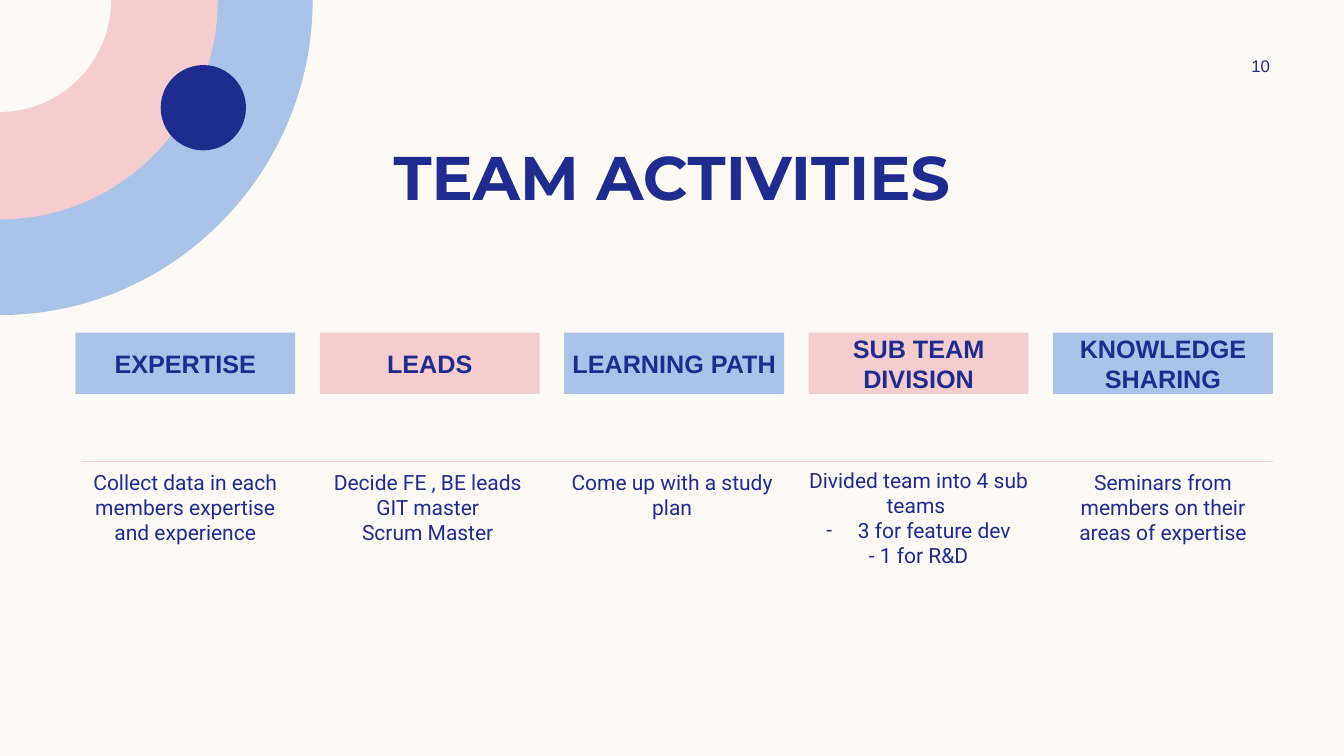
from lxml import etree
from pptx import Presentation
from pptx.dml.color import RGBColor
from pptx.enum.shapes import MSO_CONNECTOR, MSO_SHAPE
from pptx.enum.text import MSO_ANCHOR, MSO_AUTO_SIZE, PP_ALIGN
from pptx.oxml.ns import qn
from pptx.util import Cm, Pt

CREAM = RGBColor(0xFD, 0xFA, 0xF6)
BLUE = RGBColor(0xAA, 0xC3, 0xE8)
PINK = RGBColor(0xF5, 0xCD, 0xCE)
NAVY = RGBColor(0x1F, 0x2C, 0x8F)
RULE_PINK = RGBColor(0xF2, 0xD1, 0xD1)

RECTANGLE, OVAL = MSO_SHAPE.RECTANGLE, MSO_SHAPE.OVAL
STRAIGHT = MSO_CONNECTOR.STRAIGHT
TOP, MIDDLE = MSO_ANCHOR.TOP, MSO_ANCHOR.MIDDLE
CENTER = PP_ALIGN.CENTER
NO_FIT = MSO_AUTO_SIZE.NONE
ARC_HANDLE = 0.55

TITLE_FONT = {"name": "Montserrat", "size": Pt(44), "bold": True}
NUMBER_FONT = {"name": "Arial", "size": Pt(12), "bold": False}
HEADING_FONT = {"name": "Arial", "size": Pt(18), "bold": True}
DETAIL_FONT = {"name": "Roboto", "size": Pt(15), "bold": False}

TITLE_FRAME = {"vertical_anchor": TOP}
NUMBER_FRAME = {"vertical_anchor": MIDDLE}
HEADING_FRAME = {"vertical_anchor": MIDDLE, "margin_left": 0, "margin_right": 0,
                 "margin_top": 0, "margin_bottom": 0}
DETAIL_FRAME = {"vertical_anchor": TOP, "margin_left": 0, "margin_right": 0}

BULLET = "• "
ACTIVITIES = [
    ("EXPERTISE", 0, 3.32, 2.21, ["Collect data in each members expertise and experience"]),
    ("LEADS", -0.05, 3.32, 2.21, ["Decide FE , BE leads", "GIT master", "Scrum Master"]),
    ("LEARNING PATH", -0.05, 3.32, 2.21, ["Come up with a study plan"]),
    ("SUB TEAM DIVISION", 0, 3.27, 2.74,
     ["Divided team into 4 sub teams ", BULLET + "3 for feature dev", "- 1 for R&D"]),
    ("KNOWLEDGE SHARING", 0, 3.32, 2.69,
     ["Seminars from members on their areas of expertise"]),
]


def add_dash(para):
    """Give a paragraph a dash bullet with a hanging indent."""
    properties = para._p.get_or_add_pPr()
    properties.set("marL", str(Cm(0.79)))
    properties.set("indent", str(-Cm(0.79)))
    etree.SubElement(properties, qn("a:buFont")).set("typeface", DETAIL_FONT["name"])
    etree.SubElement(properties, qn("a:buChar")).set("char", "-")


def write_text(box, lines, font, frame_format):
    """Fill a box with centred navy paragraphs."""
    frame = box.text_frame
    for name, value in {"word_wrap": True, "auto_size": NO_FIT, **frame_format}.items():
        setattr(frame, name, value)
    for index, line in enumerate(lines):
        para = frame.paragraphs[0] if index == 0 else frame.add_paragraph()
        para.alignment = CENTER
        if line.startswith(BULLET):
            add_dash(para)
        span = para.add_run()
        span.text = line.removeprefix(BULLET)
        for name, value in font.items():
            setattr(span.font, name, value)
        span.font.color.rgb = NAVY


def paint(shape, color):
    """Give a shape a flat fill without outline or shadow."""
    shape.shadow.inherit = False
    shape.fill.solid()
    shape.fill.fore_color.rgb = color
    shape.line.fill.background()


def add_quarter_disc(page, left, top, width, height, color):
    """Draw a quarter disc whose centre is the top left corner of its box."""
    right, bottom = Cm(left + width), Cm(top + height)
    builder = page.shapes.build_freeform(Cm(left), Cm(top))
    builder.add_line_segments([(right, Cm(top)), (Cm(left), bottom)], close=True)
    disc = builder.convert_to_shape()
    chord = disc._element.findall(".//" + qn("a:lnTo"))[1]
    curve = etree.Element(qn("a:cubicBezTo"))
    handles = [(Cm(width), Cm(height * ARC_HANDLE)),
               (Cm(width * ARC_HANDLE), Cm(height)), (0, Cm(height))]
    for x, y in handles:
        etree.SubElement(curve, qn("a:pt"), x=str(int(x)), y=str(int(y)))
    chord.getparent().replace(chord, curve)
    paint(disc, color)


def add_corner_rings(page, left, top):
    """Draw nested quarter discs and the dot in the corner of the page."""
    for width, height, color in [(7.88, 7.94, BLUE), (5.49, 5.53, PINK), (2.8, 2.82, CREAM)]:
        add_quarter_disc(page, left, top, width, height, color)
    dot = page.shapes.add_shape(OVAL, Cm(left + 4.05), Cm(top + 1.64), Cm(2.15), Cm(2.15))
    paint(dot, NAVY)


def add_title(page, left, top, width, height):
    """Place and format the page title."""
    title = page.shapes.title
    title.left, title.top, title.width, title.height = map(Cm, (left, top, width, height))
    write_text(title, ["TEAM ACTIVITIES"], TITLE_FONT, TITLE_FRAME)


def add_page_number(page, left, top, width, height):
    """Place the page number."""
    box = page.shapes.add_textbox(*map(Cm, (left, top, width, height)))
    write_text(box, ["10"], NUMBER_FONT, NUMBER_FRAME)


def add_activities(page, left, top, width, gap):
    """Lay out heading bars with details below a thin rule."""
    pitch = width + gap
    rule_top = Cm(top + 3.25)
    rule = page.shapes.add_connector(STRAIGHT, Cm(left + 0.14), rule_top,
                                     Cm(left + 30.17), rule_top)
    rule.line.color.rgb = RULE_PINK
    rule.line.width = Pt(1)
    etree.SubElement(rule._element.spPr, qn("a:effectLst"))
    for index, (heading, shift, drop, height, details) in enumerate(ACTIVITIES):
        column = left + index * pitch
        bar = page.shapes.add_shape(RECTANGLE, Cm(column), Cm(top), Cm(width), Cm(1.55))
        paint(bar, PINK if index % 2 else BLUE)
        write_text(bar, [heading], HEADING_FONT, HEADING_FRAME)
        box = page.shapes.add_textbox(Cm(column + shift), Cm(top + drop),
                                      Cm(width), Cm(height))
        write_text(box, details, DETAIL_FONT, DETAIL_FRAME)


def main():
    """Build the deck and save it."""
    deck = Presentation()
    deck.slide_width, deck.slide_height = Cm(33.87), Cm(19.05)
    page = deck.slides.add_slide(deck.slide_layouts[5])
    page.background.fill.solid()
    page.background.fill.fore_color.rgb = CREAM
    add_corner_rings(page, 0, 0)
    add_title(page, 2.12, 3.38, 29.63, 2.13)
    add_page_number(page, 30.4, 1.27, 2.74, 0.76)
    add_activities(page, 1.9, 8.38, 5.54, 0.62)
    deck.save("out.pptx")


if __name__ == "__main__":
    main()
